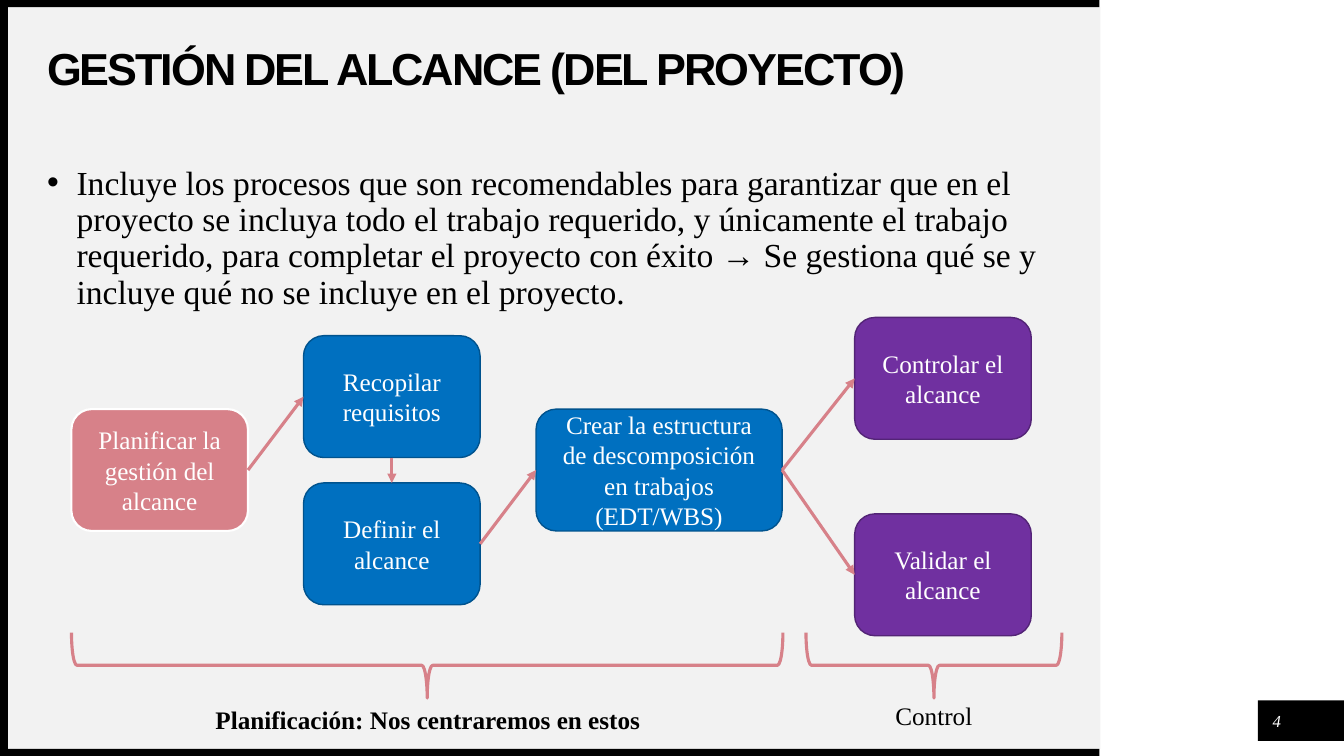
from dataclasses import dataclass

from pptx import Presentation
from pptx.dml.color import RGBColor
from pptx.enum.shapes import MSO_CONNECTOR, MSO_SHAPE
from pptx.enum.text import MSO_ANCHOR, PP_ALIGN
from pptx.oxml import parse_xml
from pptx.oxml.ns import nsdecls
from pptx.shapes.autoshape import Shape
from pptx.shapes.shapetree import SlideShapes
from pptx.util import Cm, Pt

BLACK = RGBColor(0x00, 0x00, 0x00)
WHITE = RGBColor(0xFF, 0xFF, 0xFF)
PANEL = RGBColor(0xF2, 0xF2, 0xF2)
PINK = RGBColor(0xD7, 0x81, 0x89)
BLUE = RGBColor(0x00, 0x70, 0xC0)
DARK_BLUE = RGBColor(0x00, 0x53, 0x8E)
PURPLE = RGBColor(0x70, 0x30, 0xA0)
DARK_PURPLE = RGBColor(0x53, 0x24, 0x76)

SERIF = "Times New Roman"
PROCESS_WIDTH = 4.45
PROCESS_HEIGHT = 3.07
TOP, LEFT, BOTTOM, RIGHT = range(4)


@dataclass(frozen=True)
class Area:
    """A rectangle in centimetres."""
    left: float
    top: float
    width: float
    height: float

    def lengths(self) -> tuple[Cm, Cm, Cm, Cm]:
        return Cm(self.left), Cm(self.top), Cm(self.width), Cm(self.height)


@dataclass(frozen=True)
class Style:
    size: float
    font: str = SERIF
    color: RGBColor = BLACK
    bold: bool = False
    italic: bool = False
    tracking: int = 0  # hundredths of a point


@dataclass(frozen=True)
class Process:
    text: str
    left: float
    top: float
    fill: RGBColor
    outline: RGBColor
    outline_width: float = 1
    width: float = PROCESS_WIDTH


@dataclass(frozen=True)
class Arrow:
    start: str
    start_side: int
    end: str
    end_side: int


@dataclass(frozen=True)
class Phase:
    """A brace and the label below it."""
    brace_left: float
    brace_width: float
    label: str
    label_area: Area
    bold: bool


FRAME = [
    (Area(0.2, 0.18, 27.53, 18.69), PANEL),
    (Area(31.7, 17.65, 2.17, 1.02), BLACK),
    (Area(0, 18.87, 27.71, 0.18), BLACK),
    (Area(0, 0, 27.71, 0.18), BLACK),
    (Area(0, 0, 0.2, 19.05), BLACK),
]
PROCESSES = {
    "plan": Process("Planificar la gestión del alcance", 1.8, 10.31, PINK, WHITE, 1.5),
    "collect": Process("Recopilar requisitos", 7.65, 8.46, BLUE, DARK_BLUE),
    "define": Process("Definir el alcance", 7.65, 12.17, BLUE, DARK_BLUE),
    "break_down": Process("Crear la estructura de descomposición en trabajos (EDT/WBS)",
                          13.51, 10.31, BLUE, DARK_BLUE, width=6.2),
    "control": Process("Controlar el alcance", 21.54, 8, PURPLE, DARK_PURPLE),
    "validate": Process("Validar el alcance", 21.54, 12.95, PURPLE, DARK_PURPLE),
}
ARROWS = [
    Arrow("plan", RIGHT, "collect", LEFT),
    Arrow("collect", BOTTOM, "define", TOP),
    Arrow("define", RIGHT, "break_down", LEFT),
    Arrow("break_down", RIGHT, "control", LEFT),
    Arrow("break_down", RIGHT, "validate", LEFT),
]
PHASES = [
    Phase(1.8, 17.93, "Planificación: Nos centraremos en estos",
          Area(4.45, 17.63, 12.67, 1.02), True),
    Phase(20.31, 6.45, "Control", Area(17.2, 17.53, 12.67, 1.02), False),
]
BRACE_TOP = 15.94
BRACE_DEPTH = 1.65


def write(shape: Shape, text: str, style: Style, align: PP_ALIGN,
          anchor: MSO_ANCHOR = MSO_ANCHOR.TOP) -> None:
    """Put one styled paragraph into the shape."""
    frame = shape.text_frame
    frame.text = text
    frame.word_wrap = True
    frame.vertical_anchor = anchor
    paragraph = frame.paragraphs[0]
    paragraph.alignment = align
    for run in paragraph.runs:
        font = run.font
        font.name, font.size = style.font, Pt(style.size)
        font.bold, font.italic = style.bold, style.italic
        font.color.rgb = style.color
        if style.tracking:
            run._r.get_or_add_rPr().set("spc", str(style.tracking))


def add_text(shapes: SlideShapes, area: Area, text: str, style: Style,
             align: PP_ALIGN = PP_ALIGN.LEFT, anchor: MSO_ANCHOR = MSO_ANCHOR.TOP,
             inset: bool = False) -> Shape:
    box = shapes.add_textbox(*area.lengths())
    write(box, text, style, align, anchor)
    if not inset:
        frame = box.text_frame
        frame.margin_left = frame.margin_right = frame.margin_top = frame.margin_bottom = 0
    return box


def add_bar(shapes: SlideShapes, area: Area, color: RGBColor) -> None:
    bar = shapes.add_shape(MSO_SHAPE.RECTANGLE, *area.lengths())
    bar.shadow.inherit = False
    bar.fill.solid()
    bar.fill.fore_color.rgb = color
    bar.line.fill.background()


def add_process(shapes: SlideShapes, process: Process) -> Shape:
    area = Area(process.left, process.top, process.width, PROCESS_HEIGHT)
    box = shapes.add_shape(MSO_SHAPE.ROUNDED_RECTANGLE, *area.lengths())
    box.shadow.inherit = False
    box.fill.solid()
    box.fill.fore_color.rgb = process.fill
    box.line.color.rgb = process.outline
    box.line.width = Pt(process.outline_width)
    write(box, process.text, Style(18, color=WHITE), PP_ALIGN.CENTER, MSO_ANCHOR.MIDDLE)
    return box


def add_arrow(shapes: SlideShapes, arrow: Arrow, boxes: dict[str, Shape]) -> None:
    connector = shapes.add_connector(MSO_CONNECTOR.STRAIGHT, 0, 0, 0, 0)
    connector.begin_connect(boxes[arrow.start], arrow.start_side)
    connector.end_connect(boxes[arrow.end], arrow.end_side)
    connector.line.color.rgb = PINK
    connector.line.width = Pt(2.25)
    connector.line._get_or_add_ln().append(
        parse_xml(f'<a:tailEnd {nsdecls("a")} type="triangle"/>'))
    connector._element.spPr.append(parse_xml(f'<a:effectLst {nsdecls("a")}/>'))


def add_phase(shapes: SlideShapes, phase: Phase) -> None:
    center_x = phase.brace_left + phase.brace_width / 2
    center_y = BRACE_TOP + BRACE_DEPTH / 2
    upright = Area(center_x - BRACE_DEPTH / 2, center_y - phase.brace_width / 2,
                   BRACE_DEPTH, phase.brace_width)
    brace = shapes.add_shape(MSO_SHAPE.RIGHT_BRACE, *upright.lengths())
    brace.rotation = 90
    brace.shadow.inherit = False
    brace.fill.background()
    brace.line.color.rgb = PINK
    brace.line.width = Pt(2.25)
    add_text(shapes, phase.label_area, phase.label, Style(18, bold=phase.bold),
             align=PP_ALIGN.CENTER, inset=True)


def add_summary(shapes: SlideShapes) -> None:
    box = add_text(
        shapes, Area(1.19, 4.19, 25.55, 13),
        "Incluye los procesos que son recomendables para garantizar que en el proyecto "
        "se incluya todo el trabajo requerido, y únicamente el trabajo requerido, para "
        "completar el proyecto con éxito → Se gestiona qué se y incluye qué no se "
        "incluye en el proyecto.", Style(24))
    paragraph = box.text_frame.paragraphs[0]
    paragraph.line_spacing = 0.9
    properties = paragraph._p.get_or_add_pPr()
    properties.set("marL", str(Cm(0.74)))
    properties.set("indent", str(-Cm(0.74)))
    properties.append(parse_xml(f'<a:buFont {nsdecls("a")} typeface="Arial"/>'))
    properties.append(parse_xml(f'<a:buChar {nsdecls("a")} char="•"/>'))


def main() -> None:
    presentation = Presentation()
    presentation.slide_width, presentation.slide_height = Cm(33.87), Cm(19.05)
    shapes = presentation.slides.add_slide(presentation.slide_layouts[6]).shapes

    for area, color in FRAME:
        add_bar(shapes, area, color)
    title = add_text(shapes, Area(1.19, 1.19, 25.55, 1.19), "GESTIÓN DEL ALCANCE (DEL PROYECTO)",
                     Style(32, "Arial", bold=True, tracking=-150), anchor=MSO_ANCHOR.MIDDLE)
    title.text_frame.paragraphs[0].line_spacing = 0.9
    add_text(shapes, Area(31.8, 17.78, 0.76, 0.76), "4", Style(12, color=WHITE, italic=True),
             align=PP_ALIGN.CENTER, anchor=MSO_ANCHOR.MIDDLE)
    add_summary(shapes)

    boxes = {name: add_process(shapes, process) for name, process in PROCESSES.items()}
    for arrow in ARROWS:
        add_arrow(shapes, arrow, boxes)
    for phase in PHASES:
        add_phase(shapes, phase)
    presentation.save("out.pptx")


if __name__ == "__main__":
    main()
